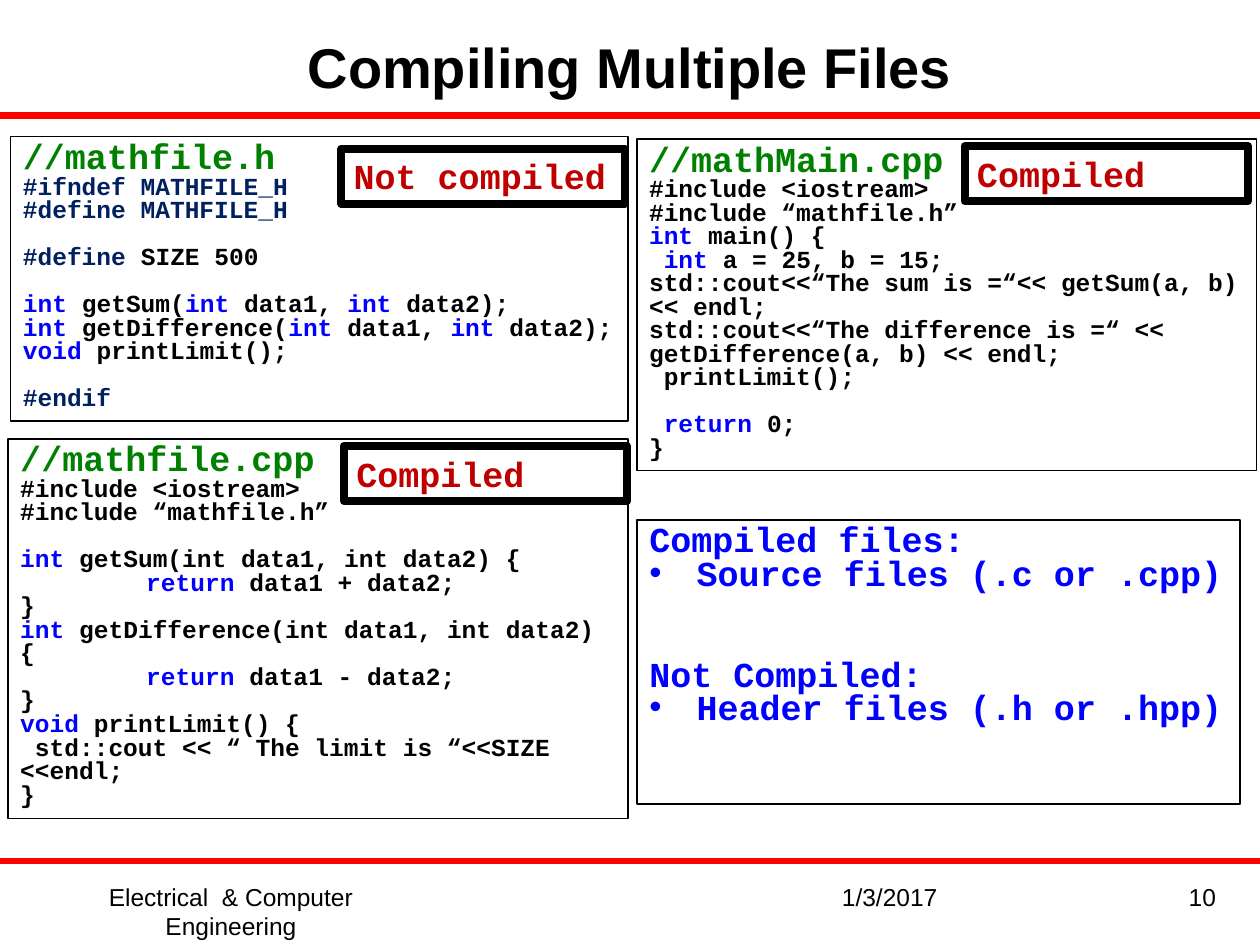
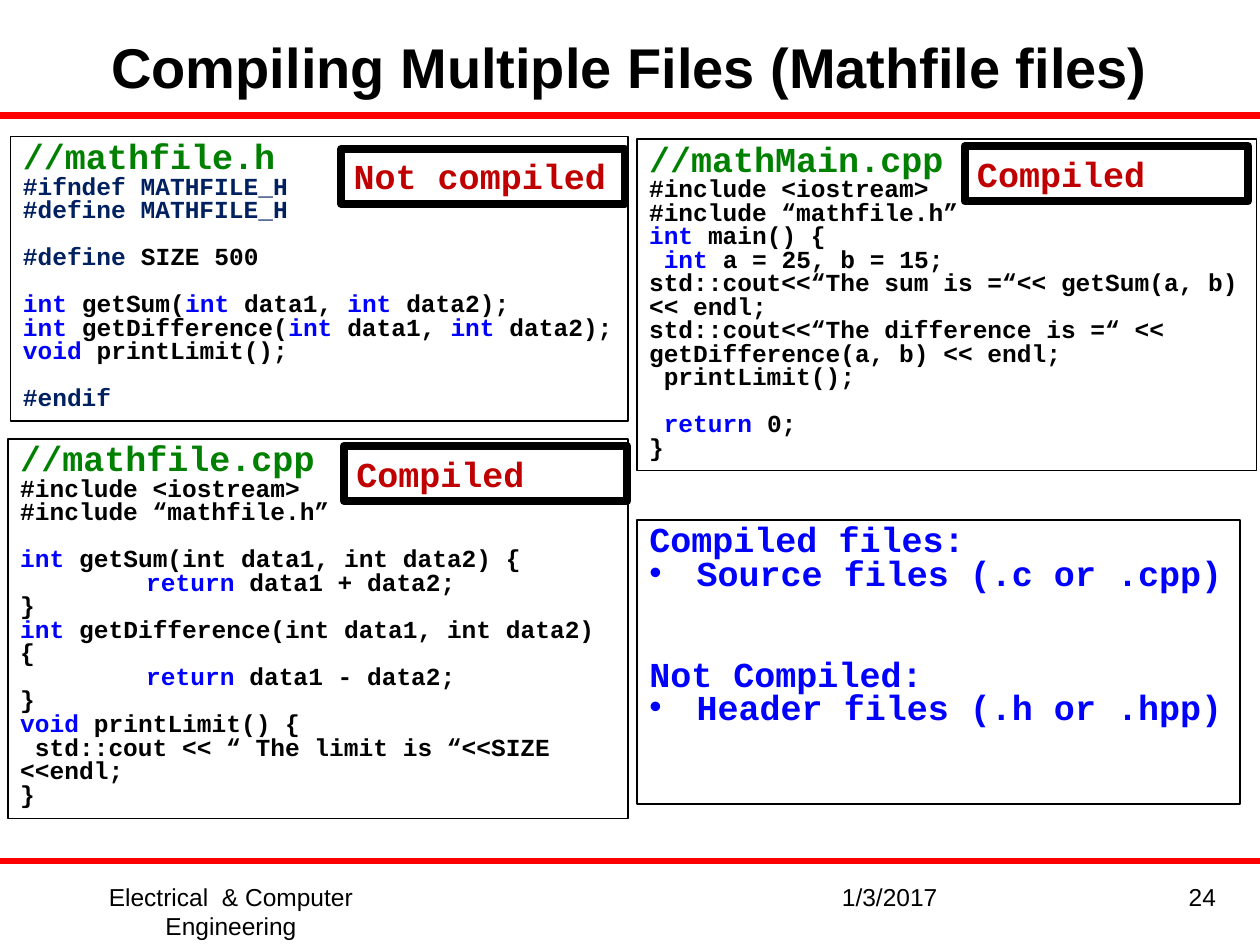
"""Build two slides on which C++ files of a project are compiled and which are not."""
import dataclasses

import lxml.etree
import pptx
import pptx.dml.color
import pptx.enum.shapes
import pptx.enum.text
import pptx.oxml.ns
import pptx.util

Pt = pptx.util.Pt
ALIGN = pptx.enum.text.PP_ALIGN
ANCHOR = pptx.enum.text.MSO_ANCHOR


@dataclasses.dataclass(frozen=True)
class Theme:
    """Colours, fonts and type sizes of the deck."""
    black: str = "000000"
    rule: str = "FF0000"
    comment: str = "008000"
    directive: str = "002060"
    keyword: str = "0000FF"
    verdict: str = "C00000"
    sans: str = "Arial"
    mono: str = "Courier New"
    title: int = 32
    heading: int = 20
    body: int = 14
    code_spacing: float = 0.8
    line_height: float = 1.2
    tab: int = 72


THEME = Theme()
WIDTH, HEIGHT = 720, 540
TITLE_BOX = (6, 8, 708, 60)
RULES = (66, 492)
BADGE_SIZE = (162, 31.5)

SLIDES = [("Compiling Multiple Files", "10"),
          ("Compiling Multiple Files (Mathfile files)", "24")]

FOOTER_TOP, FOOTER_HEIGHT = 500.3, 37.5
DEPARTMENT = "Electrical  & Computer Engineering"
DATE = "1/3/2017"

MATHFILE_H = [
    "`#ifndef MATHFILE_H`",
    "`#define MATHFILE_H`",
    "",
    "`#define `SIZE 500",
    "",
    "`int `getSum(`int` data1, `int` data2);",
    "`int `getDifference(`int` data1, `int` data2);",
    "`void `printLimit();",
    "",
    "`#endif`",
]
MATHFILE_CPP = [
    "#include <iostream>",
    "#include “mathfile.h”",
    "",
    "`int `getSum(int data1, int data2) {",
    "\t`return` data1 + data2;",
    "}",
    "`int `getDifference(int data1, int data2) {",
    "\t`return` data1 - data2;",
    "}",
    "`void `printLimit() {",
    " std::cout << “ The limit is “<<SIZE <<endl;",
    "}",
]
MATHMAIN_CPP = [
    "#include <iostream>",
    "#include “mathfile.h”",
    "`int` main() {",
    " `int `a = 25, b = 15;",
    "std::cout<<“The sum is =“<< getSum(a, b) << endl;",
    "std::cout<<“The difference is =“ << getDifference(a, b) << endl;",
    " printLimit();",
    "",
    " `return `0;",
    "}",
]
SUMMARY = [
    "Compiled files:",
    "•Source files (.c or .cpp)",
    "",
    "",
    "Not Compiled:",
    "•Header files (.h or .hpp)",
]
SUMMARY_BOX = (364, 297, 344.8, 162.5)

FILES = [
    ("//mathfile.h", MATHFILE_H, (6, 78, 353, 162.5), "Not compiled", (195, 85)),
    ("//mathfile.cpp", MATHFILE_CPP, (4.5, 250.7, 354.5, 217), "Compiled", (196.5, 254.8)),
    ("//mathMain.cpp", MATHMAIN_CPP, (363.8, 79.4, 354.2, 189.5), "Compiled", (551.2, 83.5)),
]


def rgb(value):
    """Turn a hex string into a colour."""
    return pptx.dml.color.RGBColor.from_string(value)


def add_element(parent, tag, **attributes):
    """Append a drawing element with attributes."""
    child = lxml.etree.SubElement(parent, pptx.oxml.ns.qn(tag))
    for key, value in attributes.items():
        child.set(key, str(value))
    return child


def add_bullet(p):
    """Give a paragraph a hanging round bullet."""
    pPr = p._p.get_or_add_pPr()
    pPr.set("marL", str(Pt(27)))
    pPr.set("indent", str(-Pt(27)))
    add_element(pPr, "a:buFont", typeface=THEME.sans)
    add_element(pPr, "a:buChar", char="•")


def add_tab_stop(p):
    """Give a paragraph one left tab stop."""
    tabs = add_element(p._p.get_or_add_pPr(), "a:tabLst")
    add_element(tabs, "a:tab", pos=Pt(THEME.tab), algn="l")


def write(tf, lines, size=THEME.body, font=THEME.sans, color=THEME.black, bold=False,
          align=ALIGN.LEFT, anchor=ANCHOR.TOP, spacing=None, heading=None):
    """Write lines; backticks mark code words and an empty line becomes space before the next."""
    tf.word_wrap = True
    tf.auto_size = pptx.enum.text.MSO_AUTO_SIZE.NONE
    tf.vertical_anchor = anchor
    rows = [(line, size, color) for line in lines]
    if heading:
        rows.insert(0, (heading, THEME.heading, THEME.comment))
    p, gap = tf.paragraphs[0], 0
    for i, (line, row_size, row_color) in enumerate(rows):
        if not line:
            gap += row_size * THEME.line_height * (spacing or 1)
            continue
        if i:
            p = tf.add_paragraph()
        p.alignment = align
        if spacing:
            p.line_spacing = spacing
        if gap:
            p.space_before, gap = Pt(round(gap, 1)), 0
        if line.startswith("•"):
            add_bullet(p)
            line = line[1:]
        if line.startswith("\t"):
            add_tab_stop(p)
        for n, part in enumerate(line.split("`")):
            if not part:
                continue
            r = p.add_run()
            r.text = part
            r.font.size, r.font.name, r.font.bold = Pt(row_size), font, bold
            marked = THEME.directive if part.startswith("#") else THEME.keyword
            r.font.color.rgb = rgb(marked if n % 2 else row_color)


def add_box(slide, box, lines, line_width=1, **fmt):
    """Add an outlined, unfilled rectangle of bold monospaced text."""
    sp = slide.shapes.add_shape(pptx.enum.shapes.MSO_SHAPE.RECTANGLE, *map(Pt, box))
    sp.shadow.inherit = False
    sp.fill.background()
    sp.line.color.rgb = rgb(THEME.black)
    sp.line.width = Pt(line_width)
    write(sp.text_frame, lines, font=THEME.mono, bold=True, **fmt)


def add_rule(slide, y):
    """Draw a red rule across the slide."""
    line = slide.shapes.add_connector(
        pptx.enum.shapes.MSO_CONNECTOR.STRAIGHT, 0, Pt(y), Pt(WIDTH), Pt(y))
    line.line.color.rgb = rgb(THEME.rule)
    line.line.width = Pt(3.5)
    add_element(line._element.spPr, "a:effectLst")


def add_frame(slide, title, number):
    """Add the title, rules and footer that every slide carries."""
    sp = slide.shapes.title
    sp.left, sp.top, sp.width, sp.height = map(Pt, TITLE_BOX)
    write(sp.text_frame, [title], size=THEME.title, bold=True,
          align=ALIGN.CENTER, anchor=ANCHOR.MIDDLE)
    for y in RULES:
        add_rule(slide, y)
    for text, left, width, align in ((DEPARTMENT, 18, 228, ALIGN.CENTER),
                                     (DATE, 474, 168, ALIGN.LEFT),
                                     (number, 660, 42, ALIGN.RIGHT)):
        sp = slide.shapes.add_textbox(Pt(left), Pt(FOOTER_TOP), Pt(width), Pt(FOOTER_HEIGHT))
        write(sp.text_frame, [text], align=align)


def main():
    """Build and save the deck."""
    prs = pptx.Presentation()
    prs.slide_width, prs.slide_height = Pt(WIDTH), Pt(HEIGHT)
    for title, number in SLIDES:
        slide = prs.slides.add_slide(prs.slide_layouts[5])
        add_frame(slide, title, number)
        for name, code, box, _, _ in FILES:
            add_box(slide, box, code, heading=name, spacing=THEME.code_spacing)
        add_box(slide, SUMMARY_BOX, SUMMARY, size=THEME.heading, color=THEME.keyword,
                spacing=THEME.code_spacing)
        for _, _, _, verdict, corner in FILES:
            add_box(slide, corner + BADGE_SIZE, [verdict], line_width=4.5,
                    size=THEME.heading, color=THEME.verdict)
    prs.save("out.pptx")


if __name__ == "__main__":
    main()
